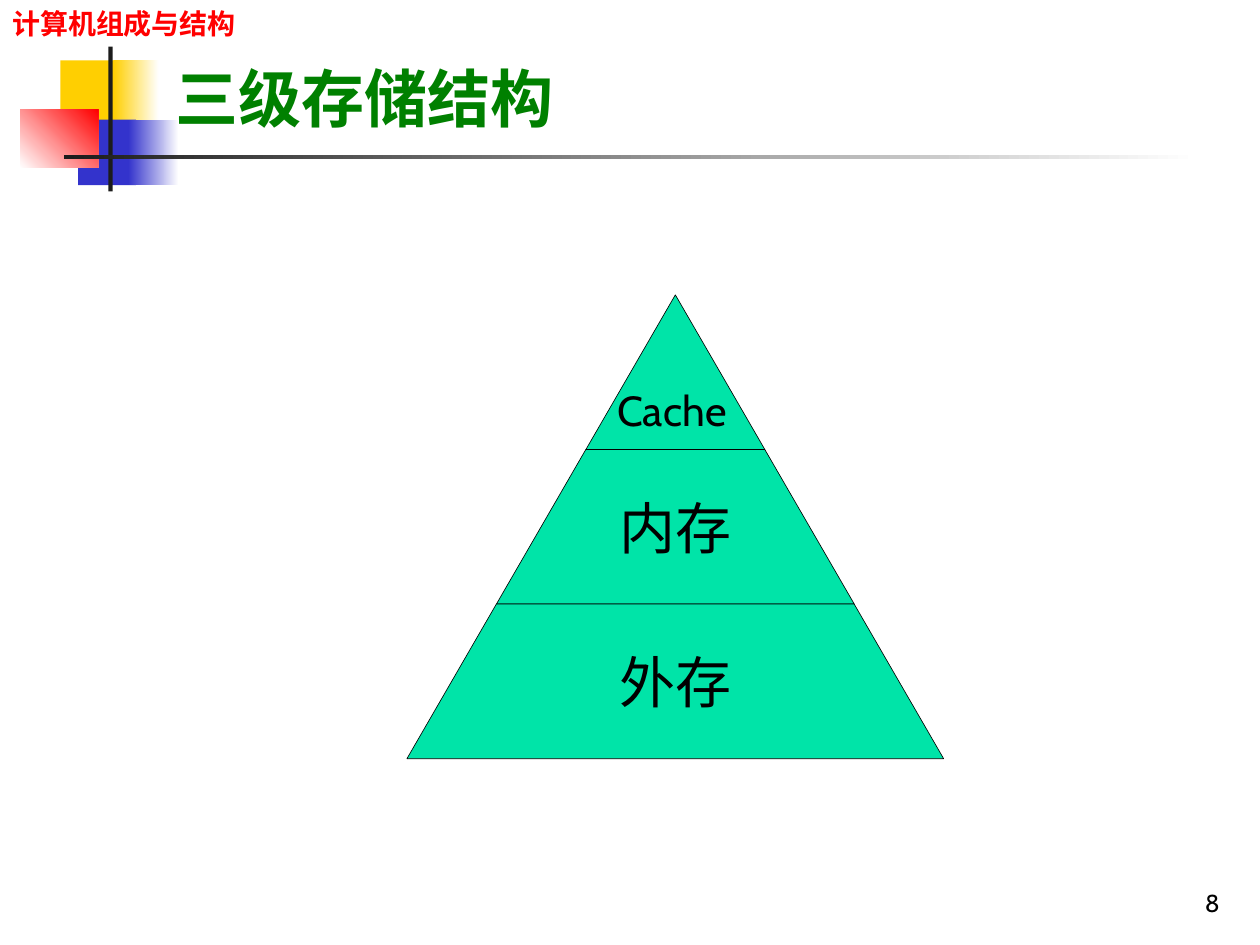
from dataclasses import dataclass

from pptx import Presentation, util as u
from pptx.dml.color import RGBColor
from pptx.enum import shapes, text


@dataclass(frozen=True)
class Theme:
    yellow: str = "FFCF01"
    blue: str = "3333CC"
    red: str = "FF0000"
    white: str = "FFFFFF"
    dark: str = "1C1C1C"
    black: str = "000000"
    green: str = "008000"
    mint: str = "00E4A8"
    heading_font: str = "Arial"
    body_font: str = "Cabin"
    title_size: int = 36
    tier_size: int = 32
    cache_size: int = 24
    course_size: int = 16
    number_size: int = 14
    outline: float = 0.37


THEME = Theme()
WIDTH, HEIGHT = u.Inches(10), u.Inches(7.5)
COLUMNS, ROWS = 100, 75


def across(columns):
    return round(WIDTH * columns / COLUMNS)


def down(rows):
    return round(HEIGHT * rows / ROWS)


def area(left, top, width, height):
    return across(left), down(top), across(width), down(height)


def color(value):
    return RGBColor.from_string(value)


def add_block(page, place, start, end=None, angle=0):
    block = page.shapes.add_shape(shapes.MSO_SHAPE.RECTANGLE, *area(*place))
    block.shadow.inherit = False
    block.line.fill.background()
    if end is None:
        block.fill.solid()
        block.fill.fore_color.rgb = color(start)
        return
    block.fill.gradient()
    block.fill.gradient_angle = angle
    for stop, value in zip(block.fill.gradient_stops, (start, end)):
        stop.color.rgb = color(value)


def write(box, words, size, value, font=THEME.body_font, bold=False,
          align=text.PP_ALIGN.LEFT, anchor=text.MSO_ANCHOR.TOP):
    frame = box.text_frame
    frame.word_wrap = True
    frame.vertical_anchor = anchor
    para = frame.paragraphs[0]
    para.alignment = align
    span = para.add_run()
    span.text = words
    span.font.name = font
    span.font.size = u.Pt(size)
    span.font.bold = bold
    span.font.color.rgb = color(value)


def add_label(page, place, words, size, value, **style):
    write(page.shapes.add_textbox(*area(*place)), words, size, value, **style)


def add_title(page, place, words):
    title = page.shapes.title
    title.left, title.top, title.width, title.height = area(*place)
    write(title, words, THEME.title_size, THEME.green, THEME.heading_font,
          bold=True, anchor=text.MSO_ANCHOR.BOTTOM)


def add_tier(page, level, words):
    center, apex, step, rise = 53.6, 23.4, 7.1, 12.27
    upper, lower = level * step, (level + 1) * step
    top, bottom = apex + level * rise, apex + (level + 1) * rise
    corners = [(center - upper, top), (center + upper, top),
               (center + lower, bottom), (center - lower, bottom)]
    points = [(across(x), down(y)) for x, y in corners]
    builder = page.shapes.build_freeform(*points[0])
    builder.add_line_segments(points[1:], close=True)
    tier = builder.convert_to_shape()
    tier.shadow.inherit = False
    tier.fill.solid()
    tier.fill.fore_color.rgb = color(THEME.mint)
    tier.line.color.rgb = color(THEME.black)
    tier.line.width = u.Pt(THEME.outline)
    if words:
        write(tier, words, THEME.tier_size, THEME.black,
              align=text.PP_ALIGN.CENTER, anchor=text.MSO_ANCHOR.MIDDLE)


def add_ornament(page):
    add_block(page, (4.8, 4.8, 4.8, 5.2), THEME.yellow)
    add_block(page, (9, 4.8, 3.6, 5.2), THEME.yellow, THEME.white)
    add_block(page, (6.2, 9.5, 4.6, 5.2), THEME.blue)
    add_block(page, (10.2, 9.5, 4, 5.2), THEME.blue, THEME.white)
    add_block(page, (1.6, 8.7, 6.2, 4.6), THEME.white, THEME.red, 45)
    add_block(page, (8.6, 3.7, 0.35, 11.5), THEME.dark)
    add_block(page, (5.1, 12.3, 90, 0.35), THEME.dark, THEME.white)


def main():
    deck = Presentation()
    deck.slide_width, deck.slide_height = WIDTH, HEIGHT
    page = deck.slides.add_slide(deck.slide_layouts[5])
    add_ornament(page)
    add_label(page, (0, 0, 20.2, 3.7), "计算机组成与结构",
              THEME.course_size, THEME.red, bold=True)
    add_label(page, (77, 68.3, 20.8, 5), "8", THEME.number_size, THEME.black,
              align=text.PP_ALIGN.RIGHT, anchor=text.MSO_ANCHOR.BOTTOM)
    add_title(page, (12.9, 3.6, 85.2, 7.6), "三级存储结构")
    for level, words in enumerate(("", "内存", "外存")):
        add_tier(page, level, words)
    add_label(page, (48, 30, 13.3, 5), "Cache", THEME.cache_size, THEME.black)
    deck.save("out.pptx")


if __name__ == "__main__":
    main()
